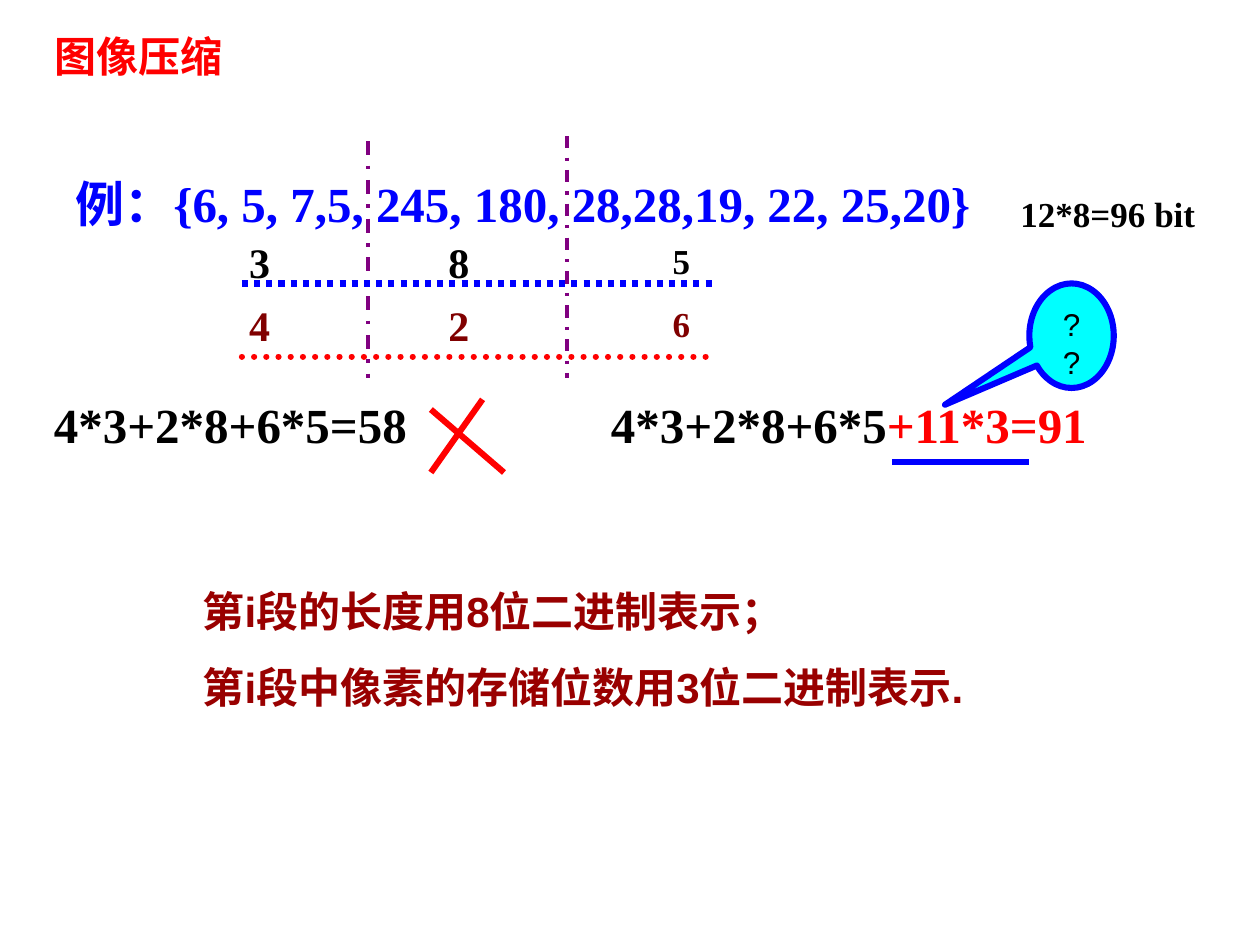
from lxml import etree
from pptx import Presentation
from pptx.dml.color import RGBColor
from pptx.enum.dml import MSO_LINE_DASH_STYLE as DASH
from pptx.enum.shapes import MSO_CONNECTOR, MSO_SHAPE
from pptx.enum.text import MSO_ANCHOR, MSO_AUTO_SIZE, PP_ALIGN
from pptx.oxml.ns import qn
from pptx.util import Inches, Pt

COLORS = {"red": "FF0000", "blue": "0000FF", "purple": "800080", "black": "000000",
          "maroon": "800000", "dark_red": "990000", "cyan": "00FFFF"}
SERIF, SANS = "Times New Roman", "Arial"


def rgb(name):
    return RGBColor.from_string(COLORS[name])


def write(sp, paragraphs, size, bold=True, wrap=True, anchor=MSO_ANCHOR.TOP,
          align=PP_ALIGN.LEFT, spacing=None, indent=0):
    """Fill a shape with paragraphs, each a list of (text, font, color) runs."""
    tf = sp.text_frame
    frame_format = {"word_wrap": wrap, "vertical_anchor": anchor,
                    "auto_size": MSO_AUTO_SIZE.NONE,
                    "margin_left": Inches(0.1), "margin_right": Inches(0.1),
                    "margin_top": Inches(0.05), "margin_bottom": Inches(0.05)}
    for name, value in frame_format.items():
        setattr(tf, name, value)
    for i, runs in enumerate(paragraphs):
        p = tf.add_paragraph() if i else tf.paragraphs[0]
        p.alignment = align
        if spacing:
            p.line_spacing = spacing
        if indent:
            p._p.get_or_add_pPr().set("marL", str(Inches(indent)))
        for text, font, color in runs:
            r = p.add_run()
            r.text = text
            for name, value in {"name": font, "size": Pt(size), "bold": bold}.items():
                setattr(r.font, name, value)
            r.font.color.rgb = rgb(color)


prs = Presentation()
prs.slide_width, prs.slide_height = Inches(10), Inches(7.5)
s = prs.slides.add_slide(prs.slide_layouts[5])

# Title
title = s.shapes.title
title_box = {"left": 0.33, "top": 0.19, "width": 2.17, "height": 0.5}
for name, value in title_box.items():
    setattr(title, name, Inches(value))
write(title, [[("图像压缩", SANS, "red")]], 24)

# Pixel sequence, bit counts and formulas: box, size, wrap, runs
texts = [
    ((0.5, 1.33, 7.32, 0.57), 28, True,
     [("例：", SANS, "blue"),
      ("{6, 5, 7,5, 245, 180, 28,28,19, 22, 25,20}", SERIF, "blue")]),
    ((8, 1.48, 1.75, 0.44), 20, True, [("12*8=96 bit", SERIF, "black")]),
    ((0.33, 3.08, 3.01, 0.57), 28, False, [("4*3+2*8+6*5=58", SERIF, "black")]),
    ((4.75, 3.08, 4.01, 0.57), 28, False,
     [("4*3+2*8+6*5", SERIF, "black"), ("+11*3=91", SERIF, "red")]),
]

# Bits per pixel above, segment lengths below
columns = [(1.88, 0, 0.37, 0.5, 24), (3.46, 0, 0.37, 0.5, 24), (5.24, 0.02, 0.34, 0.43, 20)]
for top, digits, color in [(1.83, "385", "black"), (2.33, "426", "maroon")]:
    for (left, drop, width, height, size), digit in zip(columns, digits):
        texts.append(((left, top + drop, width, height), size, False,
                      [(digit, SERIF, color)]))

for box, size, wrap, runs in texts:
    write(s.shapes.add_textbox(*map(Inches, box)), [runs], size, wrap=wrap)

# Segment dividers, row rules, cross and underline: ends, color, width, dash, cap
lines = [
    ((2.92, 1.12, 2.92, 3), "purple", 2, DASH.DASH_DOT, "flat"),
    ((4.5, 1.08, 4.5, 3), "purple", 1.75, DASH.DASH_DOT, "flat"),
    ((3.42, 3.25, 4, 3.75), "red", 3.5, None, "flat"),
    ((3.83, 3.17, 3.42, 3.75), "red", 3.5, None, "flat"),
    ((1.92, 2.25, 5.67, 2.25), "blue", 3.5, DASH.ROUND_DOT, "flat"),
    ((1.92, 2.83, 5.67, 2.83), "red", 3.5, DASH.ROUND_DOT, "rnd"),
    ((7.08, 3.67, 8.17, 3.67), "blue", 3.5, None, "flat"),
]
for ends, color, width, dash, cap in lines:
    line = s.shapes.add_connector(MSO_CONNECTOR.STRAIGHT, *map(Inches, ends))
    line.line.color.rgb = rgb(color)
    line.line.width = Pt(width)
    if dash:
        line.line.dash_style = dash
    sp_pr = line._element.spPr
    sp_pr.find(qn("a:ln")).set("cap", cap)
    etree.SubElement(sp_pr, qn("a:effectLst"))

# Question callout
callout = s.shapes.add_shape(MSO_SHAPE.OVAL_CALLOUT,
                             *map(Inches, (8.17, 2.25, 0.67, 0.83)))
callout.adjustments[0], callout.adjustments[1] = -1.5, 0.66
callout.shadow.inherit = False
callout.fill.solid()
callout.fill.fore_color.rgb = rgb("cyan")
callout.line.color.rgb = rgb("blue")
callout.line.width = Pt(3.5)
write(callout, [[("??", SANS, "black")]], 18, bold=False, align=PP_ALIGN.CENTER)

# Storage rules
rules = ["第i段的长度用8位二进制表示；", "第i段中像素的存储位数用3位二进制表示."]
write(s.shapes.add_textbox(*map(Inches, (1.08, 4.39, 7.58, 1.32))),
      [[(rule, SANS, "dark_red")] for rule in rules], 24,
      anchor=MSO_ANCHOR.MIDDLE, spacing=1.5, indent=0.43)

prs.save("out.pptx")
